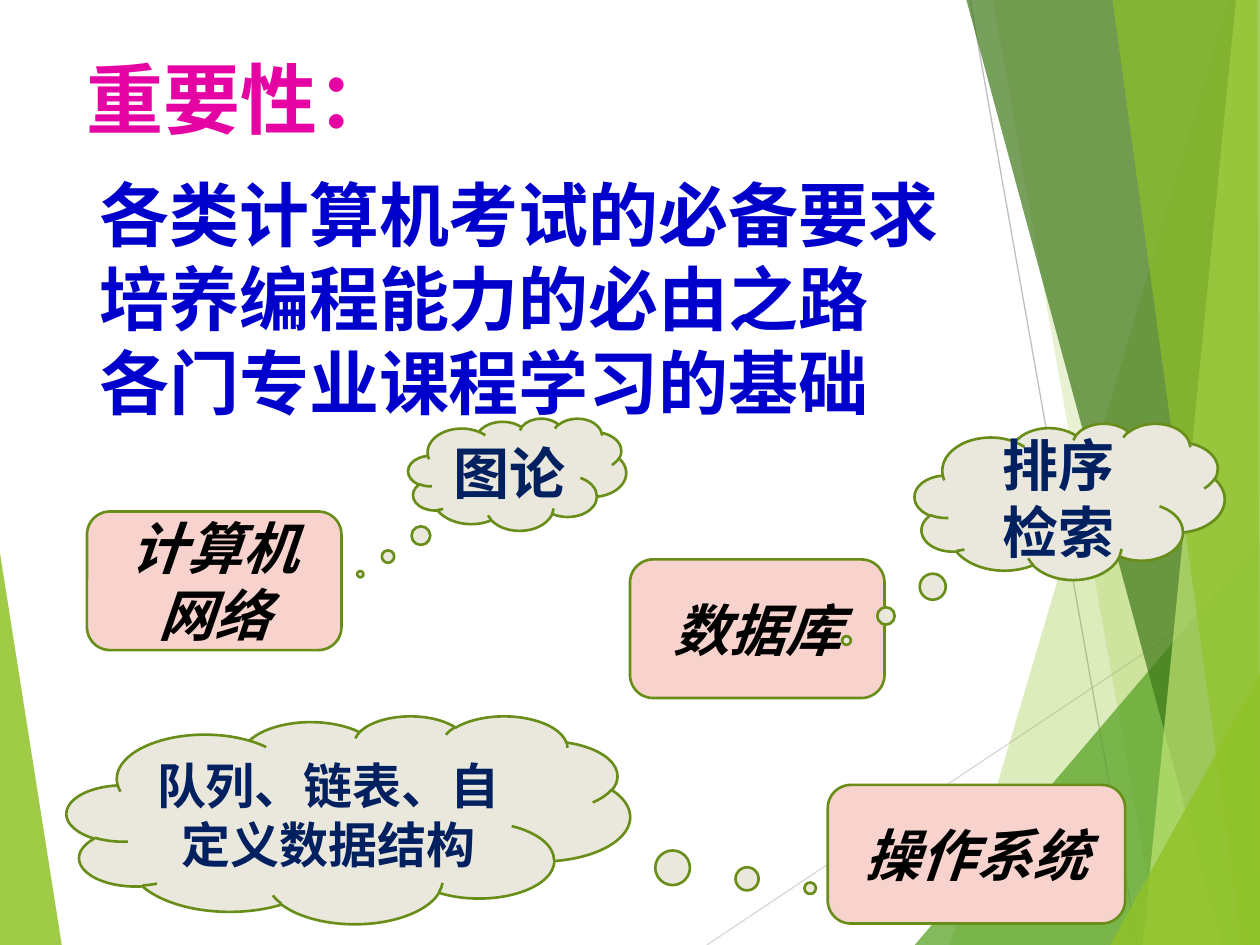
from lxml.etree import SubElement
from pptx import Presentation
from pptx.dml.color import RGBColor
from pptx.enum.shapes import MSO_CONNECTOR, MSO_SHAPE
from pptx.enum.text import MSO_ANCHOR, PP_ALIGN
from pptx.oxml.ns import qn
from pptx.util import Inches, Pt

HEX = {
    "lime": "90C226", "green": "54A021", "dark": "3F7819", "pale": "C0E474",
    "ray": "D9D9D9", "beam": "BFBFBF", "edge": "688E19", "pink": "F8D2CC",
    "cloud": "EAE8DC", "navy": "002060", "black": "000000",
    "blue": "0000CC", "rose": "E503A4",
}


def rgb(name):
    return RGBColor.from_string(HEX[name])


def write(shape, text, size, color, font="Roboto", italic=None, align=None):
    """Fill a shape with bold text in one style."""
    frame = shape.text_frame
    frame.word_wrap = True
    frame.text = text
    for para in frame.paragraphs:
        para.alignment = align
        for run in para.runs:
            run.font.name = font
            run.font.size = Pt(size)
            run.font.bold = True
            run.font.italic = italic
            run.font.color.rgb = rgb(color)


prs = Presentation()
prs.slide_width = Inches(10)
prs.slide_height = Inches(7.5)
slide = prs.slides.add_slide(prs.slide_layouts[6])
shapes = slide.shapes

# Background: two thin lines among translucent shards (color, opacity %, corners)
left = [("lime", 85, [(0, 4.39), (0.49, 7.5), (0, 7.5)])]
right = [
    ("lime", 30, [(9.75, 0), (7.54, 7.5), (10, 7.5), (10, 0)]),
    ("lime", 20, [(7.88, 0), (9.2, 7.5), (10, 7.5), (10, 0)]),
    ("green", 72, [(7.26, 7.5), (10, 4.29), (10, 7.5)]),
    ("dark", 70, [(7.67, 0), (9.7, 7.5), (10, 7.5), (10, 0)]),
    ("pale", 70, [(9.81, 0), (9.07, 7.5), (10, 7.5), (10, 0)]),
    ("lime", 65, [(8.83, 0), (9.86, 7.5), (10, 7.5), (9.98, 0)]),
    ("lime", 80, [(8.81, 7.5), (10, 5.35), (10, 7.5)]),
]
lines = [("ray", (5.61, 7.5, 10, 4.57)), ("beam", (7.7, 0, 9.03, 7.5))]

for color, ends in lines:
    line = shapes.add_connector(MSO_CONNECTOR.STRAIGHT, *map(Inches, ends))
    line.line.color.rgb = rgb(color)
    line.line.width = Pt(0.75)
    SubElement(line._element.spPr, qn("a:effectLst"))

for color, alpha, points in left + right:
    corners = [(Inches(x), Inches(y)) for x, y in points]
    pen = shapes.build_freeform(*corners[0])
    pen.add_line_segments(corners[1:], close=True)
    shard = pen.convert_to_shape()
    shard.shadow.inherit = False
    shard.line.fill.background()
    shard.fill.solid()
    shard.fill.fore_color.rgb = rgb(color)
    tint = shard.fill._xPr.find(qn("a:solidFill"))[0]
    SubElement(tint, qn("a:alpha")).set("val", str(alpha * 1000))

# Heading and main points
points = shapes.add_textbox(*map(Inches, (0.69, 1.31, 8.5, 2.05)))
write(points, "各类计算机考试的必备要求\v培养编程能力的必由之路\v各门专业课程学习的基础", 40, "blue")
head = shapes.add_textbox(*map(Inches, (0.59, 0.36, 6.94, 0.73)))
write(head, "重要性：", 44, "rose", "Noto Sans CJK JP")

# Courses in boxes, their topics in clouds (text, size, place, cloud tail)
items = [
    ("计算机网络", 32, (0.69, 4.06, 2.02, 1.1), None),
    ("图论", 32, (3.24, 3.32, 1.73, 0.89), (-0.72, 0.89)),
    ("操作系统", 32, (6.57, 6.23, 2.36, 1.1), None),
    ("队列、链表、自定义数据结构", 28, (0.53, 5.68, 4.47, 1.65), (0.82, 0.33)),
    ("数据库", 32, (5, 4.44, 2.02, 1.1), None),
    ("排序\n检索", 32, (7.26, 3.36, 2.46, 1.24), (-0.72, 0.89)),
]
for text, size, place, tail in items:
    kind = MSO_SHAPE.CLOUD_CALLOUT if tail else MSO_SHAPE.ROUNDED_RECTANGLE
    item = shapes.add_shape(kind, *map(Inches, place))
    for i, value in enumerate(tail or ()):
        item.adjustments[i] = value
    item.shadow.inherit = False
    item.fill.solid()
    item.fill.fore_color.rgb = rgb("cloud" if tail else "pink")
    item.line.color.rgb = rgb("edge")
    item.line.width = Pt(1.5)
    item.text_frame.vertical_anchor = MSO_ANCHOR.MIDDLE
    write(item, text, size, "navy" if tail else "black",
          italic=not tail, align=PP_ALIGN.CENTER)

prs.save("out.pptx")
